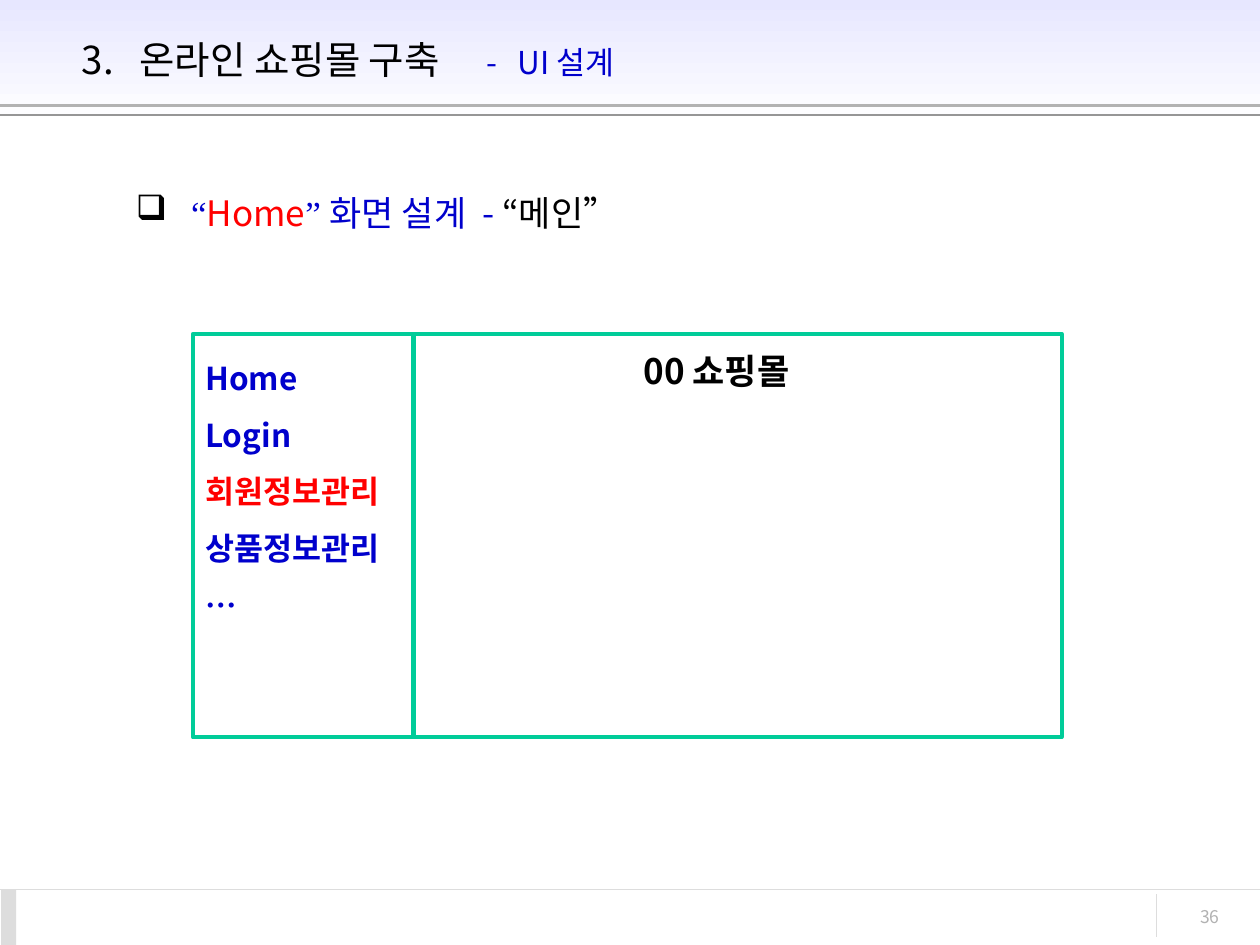
"""Build the UI design slide for the main screen of an online shopping mall."""
from dataclasses import dataclass

from lxml.etree import SubElement
from pptx import Presentation
from pptx.dml.color import RGBColor
from pptx.enum.shapes import MSO_CONNECTOR, MSO_SHAPE
from pptx.enum.text import MSO_ANCHOR, MSO_AUTO_SIZE, PP_ALIGN
from pptx.oxml.ns import qn
from pptx.util import Pt

BLACK = RGBColor(0x00, 0x00, 0x00)
WHITE = RGBColor(0xFF, 0xFF, 0xFF)
BLUE = RGBColor(0x00, 0x00, 0xCC)
RED = RGBColor(0xFF, 0x00, 0x00)
GREEN = RGBColor(0x00, 0xCC, 0x99)
LAVENDER = RGBColor(0xE7, 0xE7, 0xFF)
SILVER = RGBColor(0xB2, 0xB2, 0xB2)
GRAY = RGBColor(0x96, 0x96, 0x96)
PALE = RGBColor(0xDD, 0xDD, 0xDD)

SANS = "Noto Sans CJK KR"
SERIF = "Times New Roman"
WIDTH, HEIGHT = 720, 540
FOOT_Y = 508.3


@dataclass(frozen=True)
class Box:
    x: float
    y: float
    w: float
    h: float

    def emu(self) -> tuple:
        return Pt(self.x), Pt(self.y), Pt(self.w), Pt(self.h)


@dataclass(frozen=True)
class Rule:
    x1: float
    y1: float
    x2: float
    y2: float
    color: RGBColor
    width: float = 0.75


@dataclass(frozen=True)
class Span:
    text: str
    color: RGBColor
    size: float
    font: str = SANS
    bold: bool = False


RULES = [
    Rule(0, 60.3, WIDTH, 60.3, SILVER, 2.25),
    Rule(0, 65.7, WIDTH, 65.7, GRAY),
    Rule(0, FOOT_Y, WIDTH, FOOT_Y, PALE),
    Rule(661, 511, 661, 535.5, PALE),
]
TITLE = [Span("3.\t온라인 쇼핑몰 구축\t", BLACK, 22), Span("-\tUI 설계", BLUE, 18)]
TITLE_TABS = [33, 231, 249]
HEADING = [
    Span(" ", BLUE, 20),
    Span("“", BLUE, 20, SERIF),
    Span("Home", RED, 20),
    Span("” ", BLUE, 20, SERIF),
    Span("화면 설계  - ", BLUE, 20),
    Span("“메인”", BLACK, 20),
]
MENU = [("Home", BLUE), ("Login", BLUE), ("회원정보관리", RED),
        ("상품정보관리", BLUE), ("…", BLUE)]


def set_attrs(obj, values: dict) -> None:
    for name, value in values.items():
        setattr(obj, name, value)


def add_spans(p, spans: list, **fmt) -> None:
    set_attrs(p, fmt)
    for span in spans:
        r = p.add_run()
        r.text = span.text
        set_attrs(r.font, {"size": Pt(span.size), "name": span.font, "bold": span.bold})
        r.font.color.rgb = span.color
        SubElement(r.font._element, qn("a:ea")).set("typeface", span.font)


def add_rect(s, box: Box, fill: RGBColor, line: RGBColor | None = None):
    sp = s.shapes.add_shape(MSO_SHAPE.RECTANGLE, *box.emu())
    sp.shadow.inherit = False
    sp.fill.solid()
    sp.fill.fore_color.rgb = fill
    if line is None:
        sp.line.fill.background()
    else:
        sp.line.color.rgb = line
        sp.line.width = Pt(2.25)
    return sp


def add_rule(s, rule: Rule) -> None:
    ends = (Pt(v) for v in (rule.x1, rule.y1, rule.x2, rule.y2))
    sp = s.shapes.add_connector(MSO_CONNECTOR.STRAIGHT, *ends)
    sp.line.color.rgb = rule.color
    sp.line.width = Pt(rule.width)
    SubElement(sp._element.spPr, qn("a:effectLst"))


def add_text(s, box: Box, spans: list, wrap: bool = True, **fmt):
    tf = s.shapes.add_textbox(*box.emu()).text_frame
    tf.word_wrap = wrap
    p = tf.paragraphs[0]
    add_spans(p, spans, **fmt)
    return p


def add_bullet(p, char: str, indent: float) -> None:
    pPr = p._p.get_or_add_pPr()
    pPr.set("marL", str(Pt(indent)))
    pPr.set("indent", str(-Pt(indent)))
    clr = SubElement(pPr, qn("a:buClr"))
    SubElement(clr, qn("a:srgbClr")).set("val", str(BLACK))
    SubElement(pPr, qn("a:buChar")).set("char", char)


def add_tabs(p, stops: list) -> None:
    tabs = SubElement(p._p.get_or_add_pPr(), qn("a:tabLst"))
    for stop in stops:
        tab = SubElement(tabs, qn("a:tab"))
        tab.set("pos", str(Pt(stop)))
        tab.set("algn", "l")


def draw_frame(s) -> None:
    band = add_rect(s, Box(0, 0, WIDTH, 72), WHITE)
    band.fill.gradient()
    band.fill.gradient_angle = 270
    for stop, color, pos in zip(band.fill.gradient_stops, (LAVENDER, WHITE), (0, 1)):
        stop.color.rgb = color
        stop.position = pos
    add_rect(s, Box(0.7, FOOT_Y, 8.6, HEIGHT - FOOT_Y), PALE)
    for rule in RULES:
        add_rule(s, rule)
    add_text(s, Box(638, 514, 66, 24), [Span("36", SILVER, 10)],
             alignment=PP_ALIGN.RIGHT)


def draw_title(s) -> None:
    sp = s.shapes.title
    set_attrs(sp, dict(zip(("left", "top", "width", "height"),
                           Box(39.6, 9.4, 621.4, 49).emu())))
    tf = sp.text_frame
    set_attrs(tf, {"vertical_anchor": MSO_ANCHOR.MIDDLE, "word_wrap": True,
                   "auto_size": MSO_AUTO_SIZE.NONE})
    p = tf.paragraphs[0]
    add_spans(p, TITLE, alignment=PP_ALIGN.LEFT)
    add_tabs(p, TITLE_TABS)
    sp.element.getparent().append(sp.element)


def draw_screen(s) -> None:
    menu = add_rect(s, Box(110.2, 190.8, 126, 230.6), WHITE, GREEN)
    tf = menu.text_frame
    set_attrs(tf, {"vertical_anchor": MSO_ANCHOR.TOP, "word_wrap": True})
    for i, (text, color) in enumerate(MENU):
        p = tf.add_paragraph() if i else tf.paragraphs[0]
        add_spans(p, [Span(text, color, 18, bold=True)],
                  alignment=PP_ALIGN.LEFT, line_spacing=1.5)
    add_rect(s, Box(236.7, 190.8, 370, 230.4), WHITE, GREEN)
    add_text(s, Box(358.4, 196, 102, 31.5), [Span("00 쇼핑몰", BLACK, 20, bold=True)],
             wrap=False, alignment=PP_ALIGN.CENTER)


def main() -> None:
    prs = Presentation()
    set_attrs(prs, {"slide_width": Pt(WIDTH), "slide_height": Pt(HEIGHT)})
    s = prs.slides.add_slide(prs.slide_layouts[5])
    draw_frame(s)
    p = add_text(s, Box(70.6, 105.8, 332, 59), HEADING,
                 space_before=Pt(5), space_after=Pt(15))
    add_bullet(p, "❑", 27)
    draw_screen(s)
    draw_title(s)
    prs.save("out.pptx")


if __name__ == "__main__":
    main()
